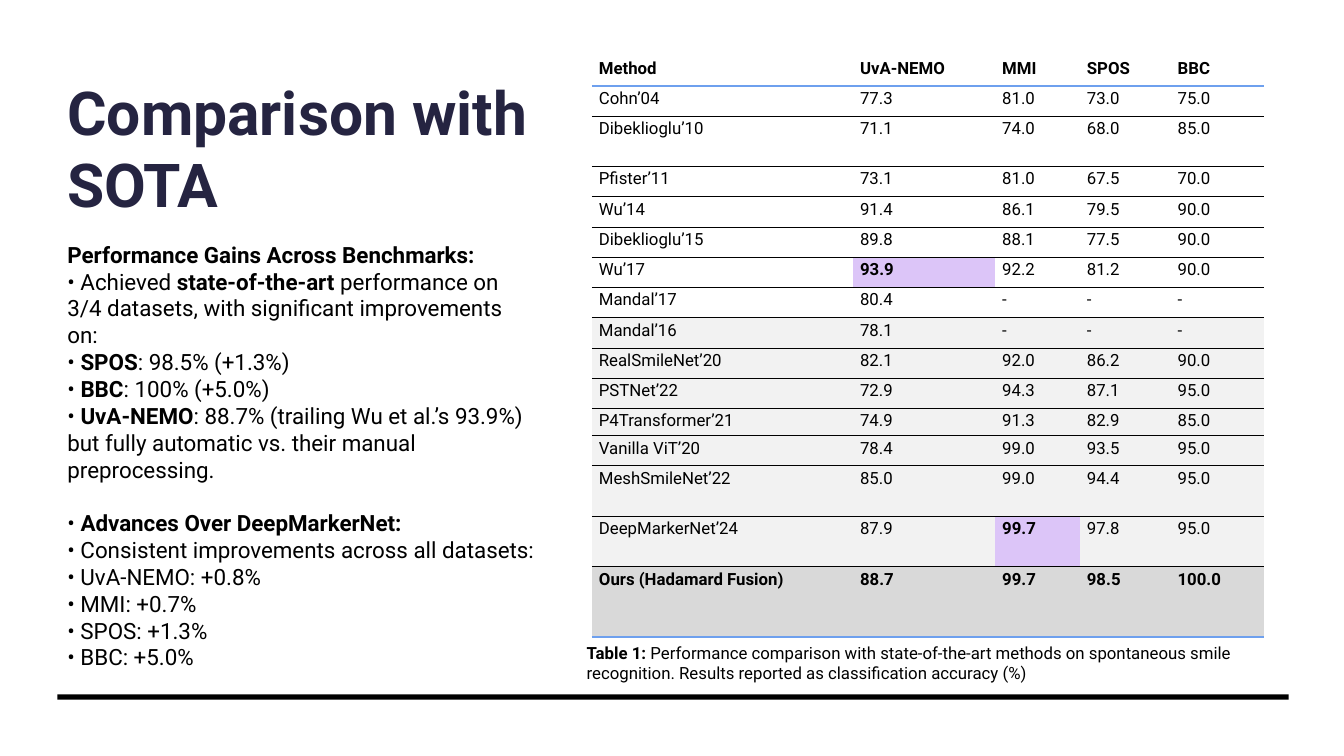
from lxml import etree
from pptx import Presentation
from pptx import util as u
from pptx.dml.color import RGBColor
from pptx.enum import shapes, text
from pptx.oxml import ns

BLACK = RGBColor(0x00, 0x00, 0x00)
WHITE = RGBColor(0xFF, 0xFF, 0xFF)
NAVY = RGBColor(0x25, 0x24, 0x41)
BLUE = RGBColor(0x6E, 0xA0, 0xEE)
LILAC = RGBColor(0xDC, 0xC5, 0xF8)
PALE = RGBColor(0xF2, 0xF2, 0xF2)
GREY = RGBColor(0xD9, 0xD9, 0xD9)

HAIRLINE = (BLACK, 0.25)
HEADER_RULE = (BLUE, 1.5)
CLOSING_RULE = (BLUE, 1)

LEFT, TEXT_WIDTH = 4.28, 36.38
TABLE_TOP = 7.33
COLUMN_WIDTHS = [19.43, 10.58, 6.3, 6.75, 6.98]
ROW_HEIGHT = 4
SPECIAL_HEIGHTS = {2: 6.67, 11: 3.6, 13: 6.67, 14: 6.67, 15: 9.33}
FIRST_SHADED = 8
HIGHLIGHTS = {(6, 1), (14, 2)}

RESULTS = [
    ("Method", "UvA-NEMO", "MMI", "SPOS", "BBC"),
    ("Cohn’04", "77.3", "81.0", "73.0", "75.0"),
    ("Dibeklioglu’10", "71.1", "74.0", "68.0", "85.0"),
    ("Pfister’11", "73.1", "81.0", "67.5", "70.0"),
    ("Wu’14", "91.4", "86.1", "79.5", "90.0"),
    ("Dibeklioglu’15", "89.8", "88.1", "77.5", "90.0"),
    ("Wu’17", "93.9", "92.2", "81.2", "90.0"),
    ("Mandal’17", "80.4", "-", "-", "-"),
    ("Mandal’16", "78.1", "-", "-", "-"),
    ("RealSmileNet’20", "82.1", "92.0", "86.2", "90.0"),
    ("PSTNet’22", "72.9", "94.3", "87.1", "95.0"),
    ("P4Transformer’21", "74.9", "91.3", "82.9", "85.0"),
    ("Vanilla ViT’20", "78.4", "99.0", "93.5", "95.0"),
    ("MeshSmileNet’22", "85.0", "99.0", "94.4", "95.0"),
    ("DeepMarkerNet’24", "87.9", "99.7", "97.8", "95.0"),
    ("Ours (Hadamard Fusion)", "88.7", "99.7", "98.5", "100.0"),
]
LAST = len(RESULTS) - 1

GAINS = [
    [("Performance Gains Across Benchmarks:", True)],
    [("• Achieved ", False), ("state-of-the-art", True),
     (" performance on 3/4 datasets, with significant improvements on:", False)],
    [("• ", False), ("SPOS", True), (": 98.5% (+1.3%)", False)],
    [("• ", False), ("BBC", True), (": 100% (+5.0%)", False)],
    [("• ", False), ("UvA-NEMO", True),
     (": 88.7% (trailing Wu et al.’s 93.9%) but fully automatic vs. "
      "their manual preprocessing.", False)],
    [("• ", False), ("Advances Over DeepMarkerNet:", True)],
    [("• Consistent improvements across all datasets:", False)],
    [("• UvA-NEMO: +0.8%", False)],
    [("• MMI: +0.7%", False)],
    [("• SPOS: +1.3%", False)],
    [("• BBC: +5.0%", False)],
]
ADVANCES_INDEX = 5

CAPTION = [[
    ("Table 1: ", True),
    ("Performance comparison with state-of-the-art methods on spontaneous smile "
     "recognition. Results reported as classification accuracy (%)", False),
]]


class SlideBuilder:
    """Draws styled elements on a slide divided into 100 columns and 100 rows."""

    font_name = "Roboto"

    def __init__(self, presentation):
        self.column = presentation.slide_width / 100
        self.row = presentation.slide_height / 100
        self.slide = presentation.slides.add_slide(presentation.slide_layouts[6])

    def place(self, left, top, width, height):
        return (round(left * self.column), round(top * self.row),
                round(width * self.column), round(height * self.row))

    def add_run(self, paragraph, words, size, bold, color=BLACK):
        run = paragraph.add_run()
        run.text = words
        run.font.name = self.font_name
        run.font.size = u.Pt(size)
        run.font.bold = bold
        run.font.color.rgb = color

    def rectangle(self, area, color):
        shape = self.slide.shapes.add_shape(
            shapes.MSO_SHAPE.RECTANGLE, *self.place(*area))
        shape.shadow.inherit = False
        shape.fill.solid()
        shape.fill.fore_color.rgb = color
        shape.line.fill.background()

    def text_box(self, area, paragraphs, size, color=BLACK,
                 anchor=text.MSO_ANCHOR.TOP):
        frame = self.slide.shapes.add_textbox(*self.place(*area)).text_frame
        frame.word_wrap = True
        frame.vertical_anchor = anchor
        for index, runs in enumerate(paragraphs):
            paragraph = frame.add_paragraph() if index else frame.paragraphs[0]
            for words, bold in runs:
                self.add_run(paragraph, words, size, bold, color)
        return frame

    def border(self, cell, side, rule):
        properties = cell._tc.get_or_add_tcPr()
        line = etree.SubElement(properties, ns.qn(f"a:ln{side}"))
        if rule is None:
            etree.SubElement(line, ns.qn("a:noFill"))
            return
        color, width = rule
        line.set("w", str(u.Pt(width)))
        fill = etree.SubElement(line, ns.qn("a:solidFill"))
        etree.SubElement(fill, ns.qn("a:srgbClr")).set("val", str(color))

    def cell(self, cell, words, bold, fill, top, bottom):
        cell.margin_left = cell.margin_right = u.Inches(0.07)
        cell.margin_top = cell.margin_bottom = u.Inches(0.03)
        self.add_run(cell.text_frame.paragraphs[0], words, 12, bold)
        for side, rule in (("L", None), ("R", None), ("T", top), ("B", bottom)):
            self.border(cell, side, rule)
        if fill is None:
            cell.fill.background()
        else:
            cell.fill.solid()
            cell.fill.fore_color.rgb = fill

    def results_table(self, left, top):
        heights = [SPECIAL_HEIGHTS.get(i, ROW_HEIGHT) for i in range(len(RESULTS))]
        area = self.place(left, top, sum(COLUMN_WIDTHS), sum(heights))
        table = self.slide.shapes.add_table(
            len(RESULTS), len(COLUMN_WIDTHS), *area).table
        table.first_row = table.horz_banding = False
        for column, width in zip(table.columns, COLUMN_WIDTHS):
            column.width = round(width * self.column)
        rules = [None, HEADER_RULE] + [HAIRLINE] * (LAST - 1) + [CLOSING_RULE]
        for i, values in enumerate(RESULTS):
            table.rows[i].height = round(heights[i] * self.row)
            row_fill = GREY if i == LAST else PALE if i >= FIRST_SHADED else None
            for j, words in enumerate(values):
                best = (i, j) in HIGHLIGHTS
                self.cell(table.cell(i, j), words, best or i in (0, LAST),
                          LILAC if best else row_fill, rules[i], rules[i + 1])


def main():
    presentation = Presentation()
    presentation.slide_width = u.Inches(13.33)
    presentation.slide_height = u.Inches(7.5)
    builder = SlideBuilder(presentation)
    builder.rectangle((0, 0, 100, 100), WHITE)
    builder.text_box((LEFT, TABLE_TOP, TEXT_WIDTH, 22.4),
                     [[("Comparison with SOTA", True)]], 43.2, NAVY,
                     text.MSO_ANCHOR.BOTTOM)
    builder.rectangle((LEFT, 91.87, 91.6, 0.67), BLACK)
    builder.results_table(44.04, TABLE_TOP)
    builder.text_box((42.91, 84.4, 51.24, 6.67), CAPTION, 12)
    gains = builder.text_box((LEFT, 31.2, TEXT_WIDTH, 57.87), GAINS, 16)
    gains.paragraphs[ADVANCES_INDEX].space_before = u.Pt(19)
    presentation.save("out.pptx")


if __name__ == "__main__":
    main()
